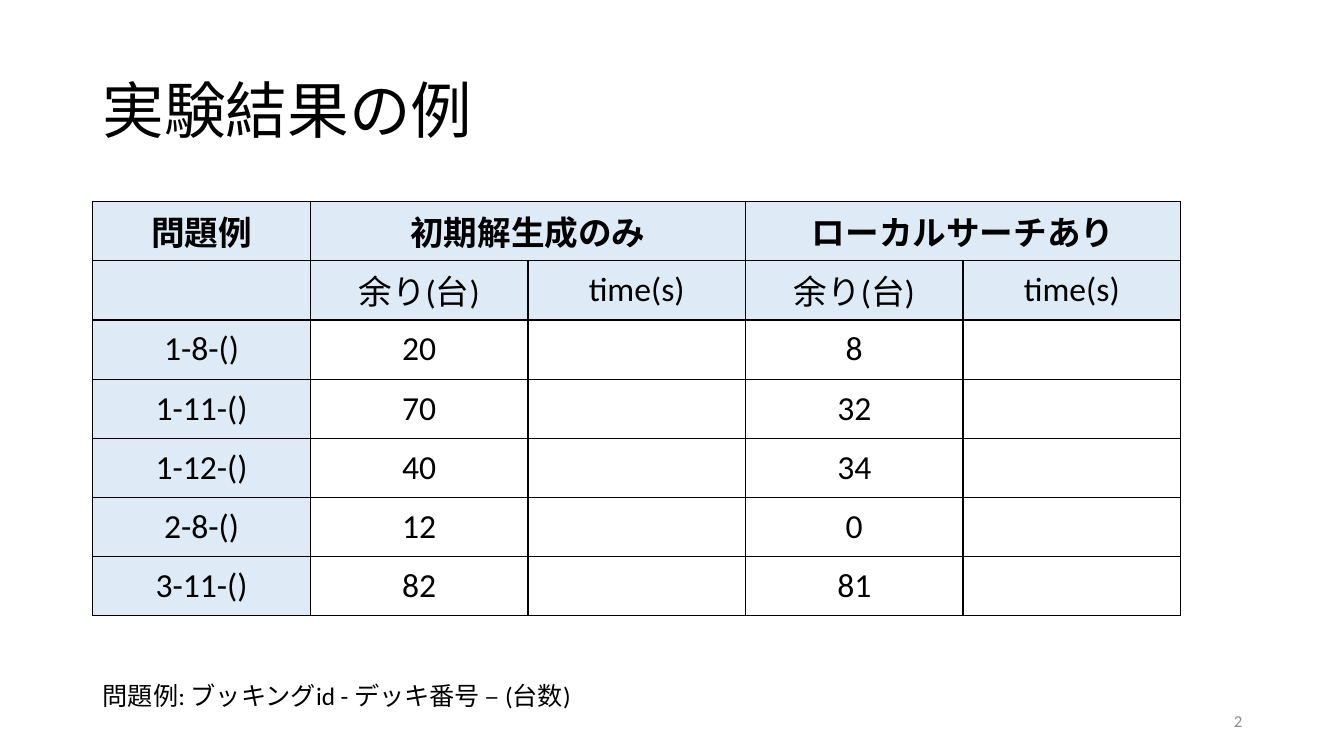
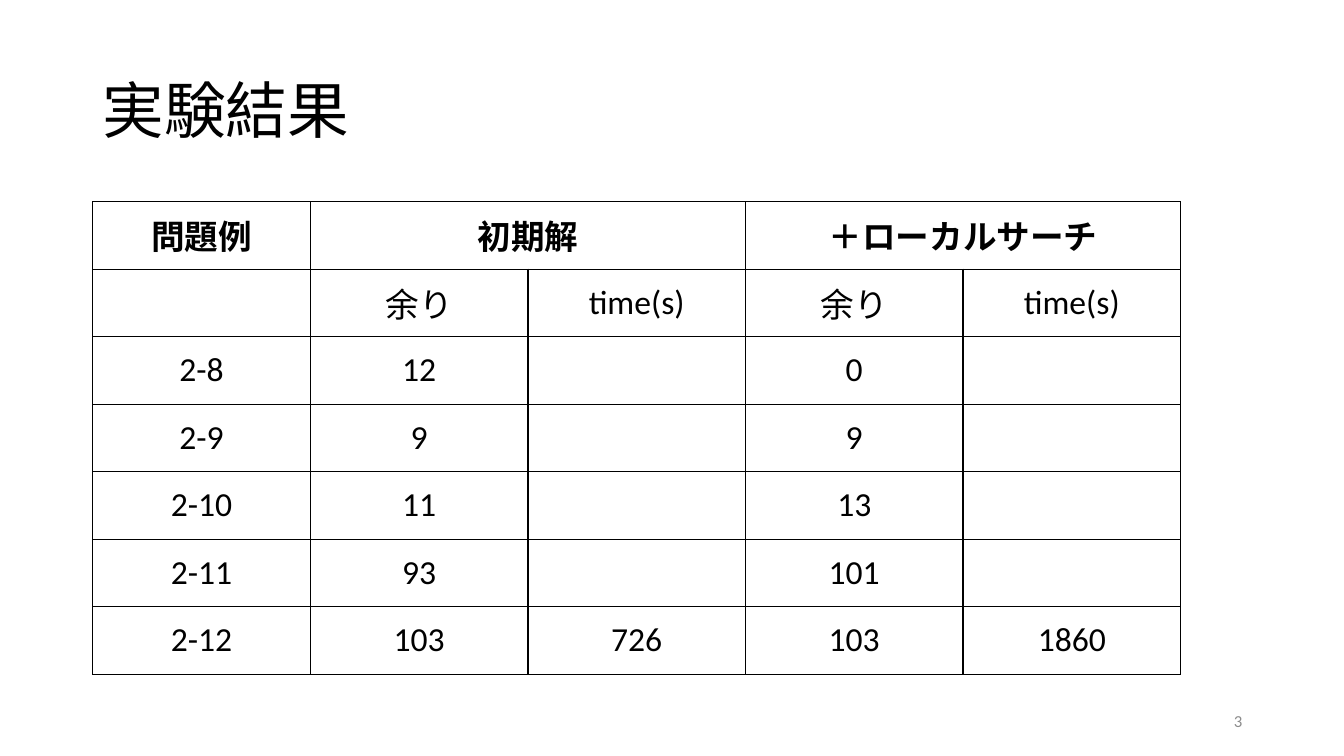
from lxml.etree import SubElement
from pptx import Presentation
from pptx.dml.color import RGBColor
from pptx.enum.text import MSO_ANCHOR as Anchor, PP_ALIGN as Align
from pptx.oxml.ns import qn
from pptx.util import Inches, Pt

COLORS = {"text": "000000", "number": "8C8C8C", "line": "000000",
          "header": "DEEBF7", "body": "FFFFFF"}
FONT = "Calibri"
LEFT = 0.92

RESULTS = [
    {
        "title": "実験結果の例", "number": 2, "height": 4.11, "header": "header",
        "groups": ["初期解生成のみ", "ローカルサーチあり"], "rest": "余り(台)",
        "rows": [["1-8-()", "20", "", "8", ""],
                 ["1-11-()", "70", "", "32", ""],
                 ["1-12-()", "40", "", "34", ""],
                 ["2-8-()", "12", "", "0", ""],
                 ["3-11-()", "82", "", "81", ""]],
        "note": "問題例: ブッキングid - デッキ番号 – (台数)",
    },
    {
        "title": "実験結果", "number": 3, "height": 4.69, "header": "body",
        "groups": ["初期解", "＋ローカルサーチ"], "rest": "余り",
        "rows": [["2-8", "12", "", "0", ""],
                 ["2-9", "9", "", "9", ""],
                 ["2-10", "11", "", "13", ""],
                 ["2-11", "93", "", "101", ""],
                 ["2-12", "103", "726", "103", "1860"]],
        "note": None,
    },
]


def write(frame, text, size, color="text", align=Align.LEFT, bold=False):
    """Put one styled paragraph in a text frame and return it."""
    paragraph = frame.paragraphs[0]
    paragraph.text = text
    paragraph.alignment = align
    style = {"name": FONT, "size": Pt(size), "bold": bold}
    for attribute, value in style.items():
        setattr(paragraph.font, attribute, value)
    paragraph.font.color.rgb = RGBColor.from_string(COLORS[color])
    return paragraph


def text_box(slide, box, anchor=Anchor.MIDDLE):
    """Add a wrapping text box and return its text frame."""
    frame = slide.shapes.add_textbox(*map(Inches, box)).text_frame
    frame.word_wrap = True
    frame.vertical_anchor = anchor
    return frame


prs = Presentation()
prs.slide_width, prs.slide_height = Inches(13.33), Inches(7.5)

for result in RESULTS:
    slide = prs.slides.add_slide(prs.slide_layouts[6])
    title = write(text_box(slide, (LEFT, 0.4, 11.5, 1.45)), result["title"], 44)
    title.line_spacing = 0.9
    write(text_box(slide, (9.42, 6.95, 3, 0.4)), str(result["number"]), 12,
          "number", Align.RIGHT)

    initial, search = result["groups"]
    grid = [["問題例", initial, "", search, ""],
            [""] + [result["rest"], "time(s)"] * 2] + result["rows"]
    table = slide.shapes.add_table(
        len(grid), len(grid[0]), Inches(LEFT), Inches(2),
        Inches(10.79), Inches(result["height"])).table
    table.first_row = table.horz_banding = False
    for first in (1, 3):
        table.cell(0, first).merge(table.cell(0, first + 1))

    for r, row in enumerate(grid):
        for c, value in enumerate(row):
            cell = table.cell(r, c)
            borders = cell._tc.get_or_add_tcPr()
            for side in ("lnL", "lnR", "lnT", "lnB"):
                line = SubElement(borders, qn(f"a:{side}"), w=str(Pt(1)))
                paint = SubElement(line, qn("a:solidFill"))
                SubElement(paint, qn("a:srgbClr"), val=COLORS["line"])
            is_header = r < 2 or c == 0
            fill = COLORS[result["header"] if is_header else "body"]
            cell.fill.solid()
            cell.fill.fore_color.rgb = RGBColor.from_string(fill)
            cell.vertical_anchor = Anchor.MIDDLE
            if value:
                write(cell.text_frame, value, 24, align=Align.CENTER, bold=r == 0)

    if result["note"]:
        write(text_box(slide, (LEFT, 6.7, 4.89, 0.4), Anchor.TOP), result["note"], 18)

prs.save("out.pptx")
